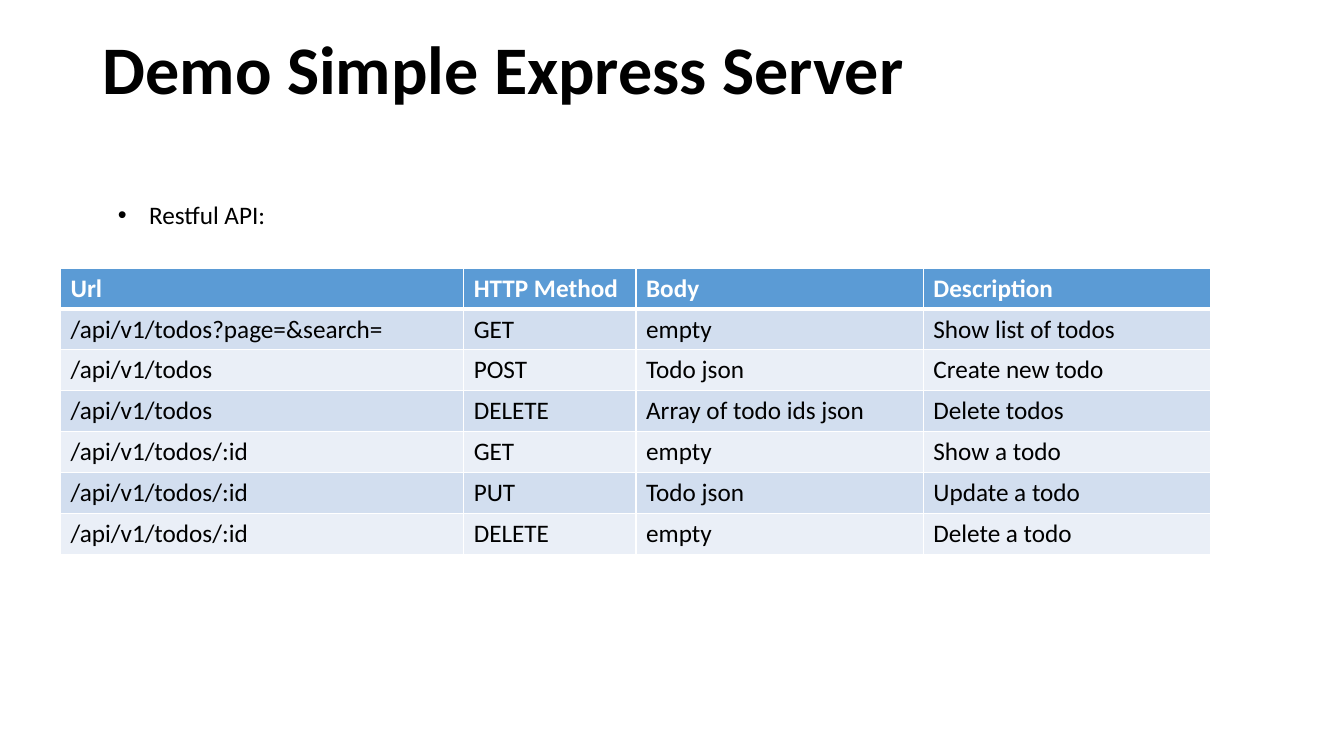
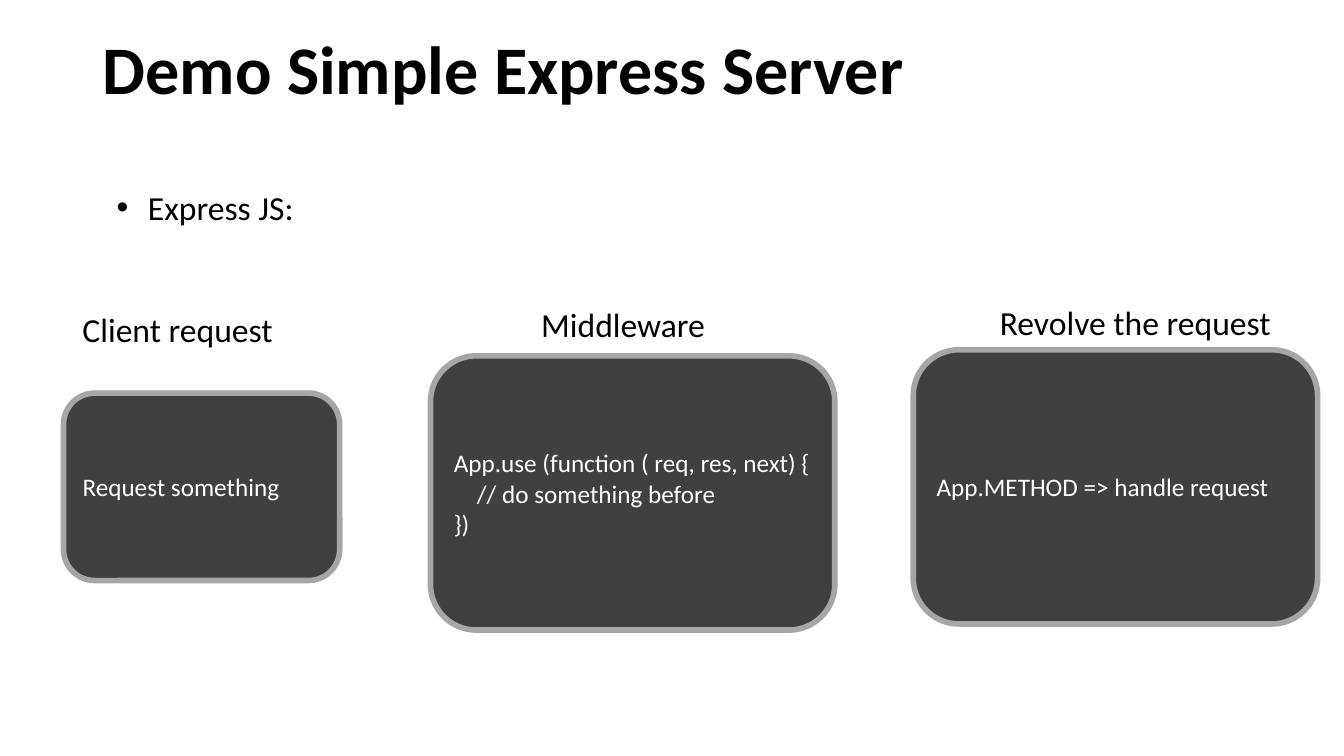
from lxml.etree import SubElement
from pptx import Presentation
from pptx.dml.color import RGBColor
from pptx.enum.shapes import MSO_SHAPE as Shape
from pptx.enum.text import MSO_ANCHOR as Anchor, PP_ALIGN as Align
from pptx.oxml.ns import qn
from pptx.util import Emu, Inches, Pt

FONT = "Calibri"
BLACK = RGBColor(0x00, 0x00, 0x00)
WHITE = RGBColor(0xFF, 0xFF, 0xFF)
BLUE = RGBColor(0x5B, 0x9B, 0xD5)
BANDS = [RGBColor(0xEA, 0xEF, 0xF7), RGBColor(0xD2, 0xDE, 0xEF)]
DARK = RGBColor(0x40, 0x40, 0x40)
GREY = RGBColor(0xA6, 0xA6, 0xA6)

W, H = Inches(13.33), Inches(7.5)
TITLE = "Demo Simple Express Server"
TITLE_BOX = (6.9, 5.33, 86.25, 8.4)
BULLET_WIDTH = 53.93
LABEL_HEIGHT = 6.67

API_COLUMNS = [4, 1.71, 2.85, 2.85]
API_ROWS = [
    ["Url", "HTTP Method", "Body", "Description"],
    ["/api/v1/todos?page=&search=", "GET", "empty", "Show list of todos"],
    ["/api/v1/todos", "POST", "Todo json", "Create new todo"],
    ["/api/v1/todos", "DELETE", "Array of todo ids json", "Delete todos"],
    ["/api/v1/todos/:id", "GET", "empty", "Show a todo"],
    ["/api/v1/todos/:id", "PUT", "Todo json", "Update a todo"],
    ["/api/v1/todos/:id", "DELETE", "empty", "Delete a todo"],
]

STAGES = [
    ("Middleware", (7.5, -7.47, 14.93), (32.03, 47.07, 30.08, 36.27),
     ["App.use (function ( req, res, next) {", "// do something before", "})"]),
    ("Client request", (0.67, -11.73, 18.98), (4.73, 52, 20.55, 24.8),
     ["Request something"]),
    ("Revolve the request", (5.7, -6.93, 22.88), (67.95, 46.27, 30.08, 36.27),
     ["App.METHOD => handle request"]),
]


def place(x, y, w, h):
    return [Emu(round(share * side / 100))
            for share, side in zip((x, y, w, h), (W, H, W, H))]


def write(p, text, size=18, color=BLACK, bold=False, indent=0, bullet=None,
          spacing=None):
    p.alignment = Align.LEFT
    if spacing:
        p.line_spacing = spacing
    pPr = p._p.get_or_add_pPr()
    if indent:
        pPr.set("marL", str(Inches(indent)))
        pPr.set("indent", str(-Inches(indent) if bullet else 0))
    if bullet:
        SubElement(pPr, qn("a:buFont"), typeface="Arial")
        SubElement(pPr, qn("a:buChar"), char=bullet)
    r = p.add_run()
    r.text = text
    r.font.name, r.font.size, r.font.bold = FONT, Pt(size), bold
    r.font.color.rgb = color


def add_text(s, box, text, anchor=Anchor.TOP, **style):
    tf = s.shapes.add_textbox(*place(*box)).text_frame
    tf.word_wrap = True
    tf.vertical_anchor = anchor
    write(tf.paragraphs[0], text, **style)


def add_slide(prs, bullet, left, top, size):
    s = prs.slides.add_slide(prs.slide_layouts[6])
    add_text(s, TITLE_BOX, TITLE, anchor=Anchor.MIDDLE, size=48.6, bold=True,
             spacing=0.9)
    add_text(s, (left, top, BULLET_WIDTH, LABEL_HEIGHT), bullet, size=size,
             indent=0.31, bullet="•")
    return s


def set_borders(cell, **widths):
    tcPr = cell._tc.get_or_add_tcPr()
    for side in "LRTB":
        ln = SubElement(tcPr, qn(f"a:ln{side}"), w=str(Pt(widths.get(side, 1))))
        SubElement(SubElement(ln, qn("a:solidFill")), qn("a:srgbClr"),
                   val=str(WHITE))


def add_api_table(s, box):
    left, top, width, height = place(*box)
    table = s.shapes.add_table(len(API_ROWS), len(API_COLUMNS),
                               left, top, width, height).table
    for column, share in zip(table.columns, API_COLUMNS):
        column.width = round(width * share / sum(API_COLUMNS))
    for i, texts in enumerate(API_ROWS):
        header = i == 0
        for j, text in enumerate(texts):
            cell = table.cell(i, j)
            set_borders(cell, T=3 if i == 1 else 1, B=3 if header else 1)
            cell.fill.solid()
            cell.fill.fore_color.rgb = BLUE if header else BANDS[i % 2]
            write(cell.text_frame.paragraphs[0], text, bold=header,
                  color=WHITE if header else BLACK)


def add_stage(s, box, label, label_offset, lines):
    dx, dy, label_width = label_offset
    add_text(s, (box[0] + dx, box[1] + dy, label_width, LABEL_HEIGHT), label,
             size=24)
    sp = s.shapes.add_shape(Shape.ROUNDED_RECTANGLE, *place(*box))
    sp.shadow.inherit = False
    sp.fill.solid()
    sp.fill.fore_color.rgb = DARK
    sp.line.color.rgb = GREY
    sp.line.width = Pt(4)
    tf = sp.text_frame
    tf.word_wrap = True
    tf.vertical_anchor = Anchor.MIDDLE
    for i, line in enumerate(lines):
        p = tf.add_paragraph() if i else tf.paragraphs[0]
        write(p, line, color=WHITE, indent=0.23 if line.startswith("//") else 0)


def build_api_slide(prs):
    s = add_slide(prs, "Restful API:", 8.03, 25.73, 18)
    add_api_table(s, (4.5, 35.47, 85.58, 37.87))


def build_flow_slide(prs):
    s = add_slide(prs, "Express JS:", 7.95, 24, 24)
    for label, label_offset, box, lines in STAGES:
        add_stage(s, box, label, label_offset, lines)


def main():
    prs = Presentation()
    prs.slide_width, prs.slide_height = W, H
    build_api_slide(prs)
    build_flow_slide(prs)
    prs.save("out.pptx")


if __name__ == "__main__":
    main()
